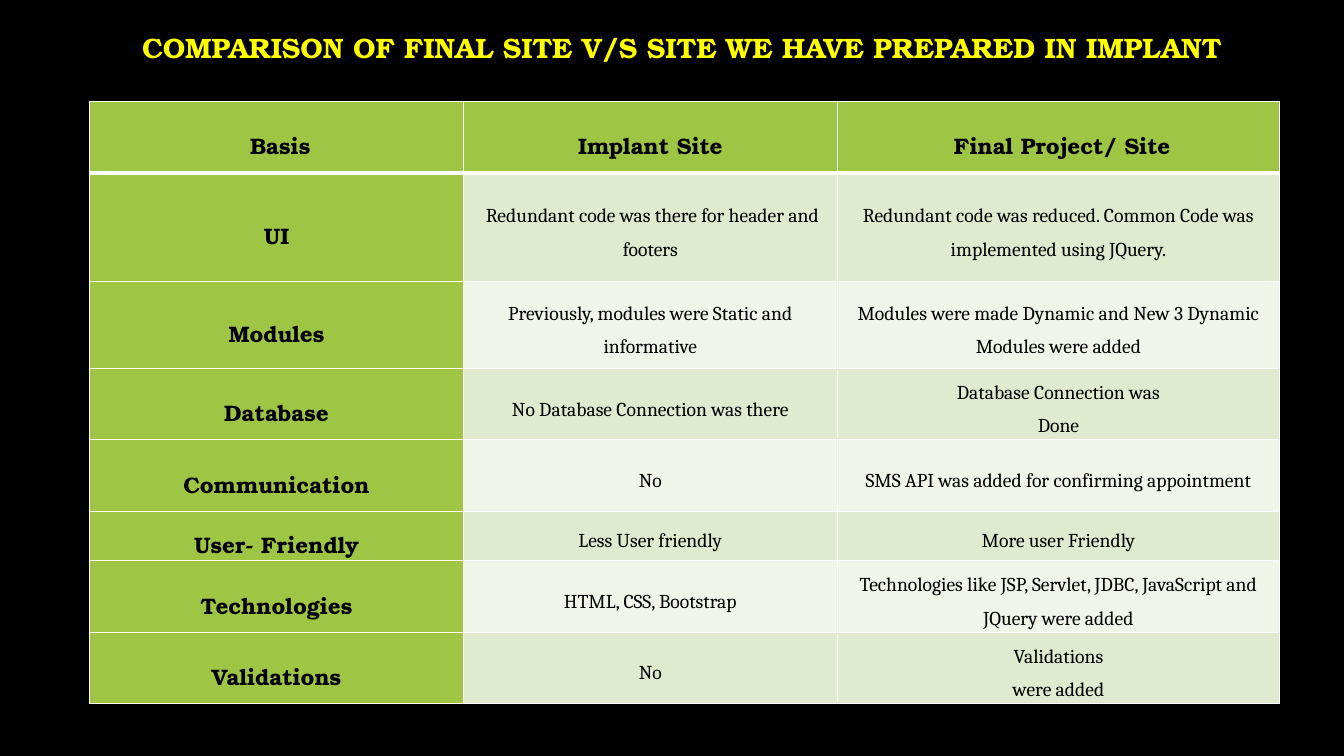
from dataclasses import dataclass

from lxml.etree import SubElement
from pptx import Presentation
from pptx.dml.color import RGBColor
from pptx.enum.text import MSO_ANCHOR, PP_ALIGN
from pptx.oxml.ns import qn
from pptx.util import Cm, Pt

BLACK, WHITE, YELLOW = "000000", "FFFFFF", "FFFF00"
GREEN, BANDS = "9EC544", ("DFEACF", "F0F5E9")


@dataclass(frozen=True)
class Style:
    font: str
    size: int
    bold: bool
    color: str
    spacing: float


@dataclass(frozen=True)
class Row:
    height: float
    texts: tuple[str, str, str]


TITLE = Style("TeX Gyre Bonum", 20, True, YELLOW, 0.9)
HEADING = Style("TeX Gyre Bonum", 16, True, BLACK, 1.5)
BODY = Style("Cambria", 14, False, BLACK, 1.5)

COLUMN_WIDTHS = (9.42, 9.42, 11.15)
ROWS = (
    Row(1.8, ("\u00a0Basis", "Implant Site", "\u00a0Final Project/ Site")),
    Row(2.74, ("UI", "\u00a0Redundant code was there for header and footers",
               "Redundant code was reduced. Common Code was implemented using JQuery.")),
    Row(2.18, ("Modules", "Previously, modules were Static and informative",
               "Modules were made Dynamic and New 3 Dynamic Modules were added")),
    Row(1.8, ("Database", "No Database Connection was there",
              "Database Connection was\nDone")),
    Row(1.8, ("Communication", "No", "SMS API was added for confirming appointment")),
    Row(1.25, ("User- Friendly", "Less User friendly", "More user Friendly")),
    Row(1.8, ("Technologies", "HTML, CSS, Bootstrap",
              "Technologies like JSP, Servlet, JDBC, JavaScript and JQuery were added")),
    Row(1.8, ("Validations", "No", "Validations\nwere added")),
)


def rgb(color: str) -> RGBColor:
    return RGBColor.from_string(color)


def write(tf, text: str, style: Style) -> None:
    tf.text = text
    tf.word_wrap = True
    for p in tf.paragraphs:
        p.alignment = PP_ALIGN.CENTER
        p.line_spacing = style.spacing
        p.font.name = style.font
        p.font.size = Pt(style.size)
        p.font.bold = style.bold
        p.font.color.rgb = rgb(style.color)


def add_borders(cell, top: int, bottom: int) -> None:
    tc_pr = cell._tc.get_or_add_tcPr()
    for side, width in (("L", 1), ("R", 1), ("T", top), ("B", bottom)):
        ln = SubElement(tc_pr, qn(f"a:ln{side}"), w=str(Pt(width)))
        SubElement(SubElement(ln, qn("a:solidFill")), qn("a:srgbClr"), val=WHITE)


def draw_cell(cell, text: str, row: int, column: int) -> None:
    heading = row == 0 or column == 0
    add_borders(cell, top=3 if row == 1 else 1, bottom=3 if row == 0 else 1)
    cell.fill.solid()
    cell.fill.fore_color.rgb = rgb(GREEN if heading else BANDS[(row - 1) % 2])
    cell.margin_left = cell.margin_right = Cm(0.1)
    cell.margin_top = cell.margin_bottom = 0
    cell.vertical_anchor = MSO_ANCHOR.MIDDLE
    write(cell.text_frame, text, HEADING if heading else BODY)


def add_title(s, text: str) -> None:
    sp = s.shapes.add_textbox(Cm(2.54), Cm(0.38), Cm(29.31), Cm(1.73))
    sp.text_frame.vertical_anchor = MSO_ANCHOR.MIDDLE
    write(sp.text_frame, text, TITLE)


def add_comparison(s) -> None:
    table = s.shapes.add_table(
        len(ROWS), len(COLUMN_WIDTHS), Cm(2.26), Cm(2.56),
        Cm(sum(COLUMN_WIDTHS)), Cm(sum(row.height for row in ROWS))).table
    for column, width in zip(table.columns, COLUMN_WIDTHS):
        column.width = Cm(width)
    for i, row in enumerate(ROWS):
        table.rows[i].height = Cm(row.height)
        for j, text in enumerate(row.texts):
            draw_cell(table.cell(i, j), text, i, j)


prs = Presentation()
prs.slide_width, prs.slide_height = Cm(33.87), Cm(19.05)
s = prs.slides.add_slide(prs.slide_layouts[6])
s.background.fill.solid()
s.background.fill.fore_color.rgb = rgb(BLACK)
add_title(s, "COMPARISON OF FINAL SITE V/S SITE WE HAVE PREPARED IN IMPLANT")
add_comparison(s)
prs.save("out.pptx")
